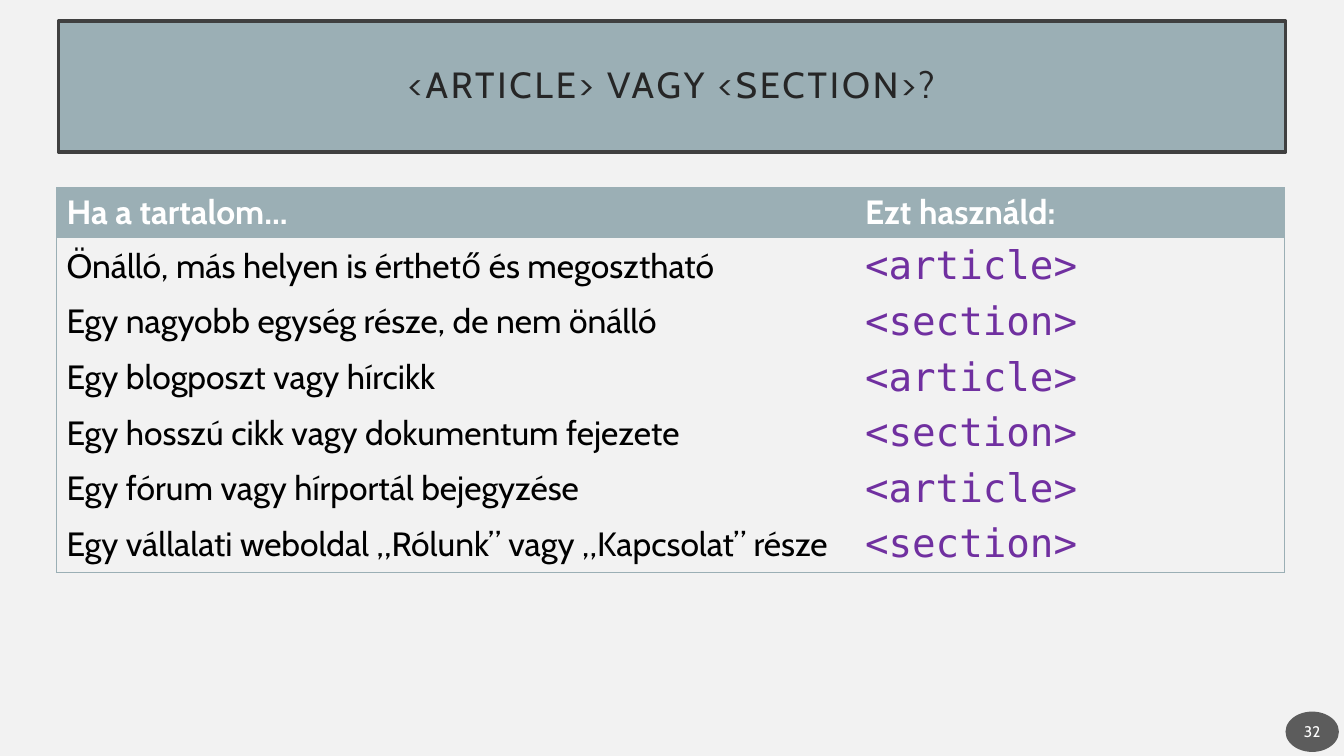
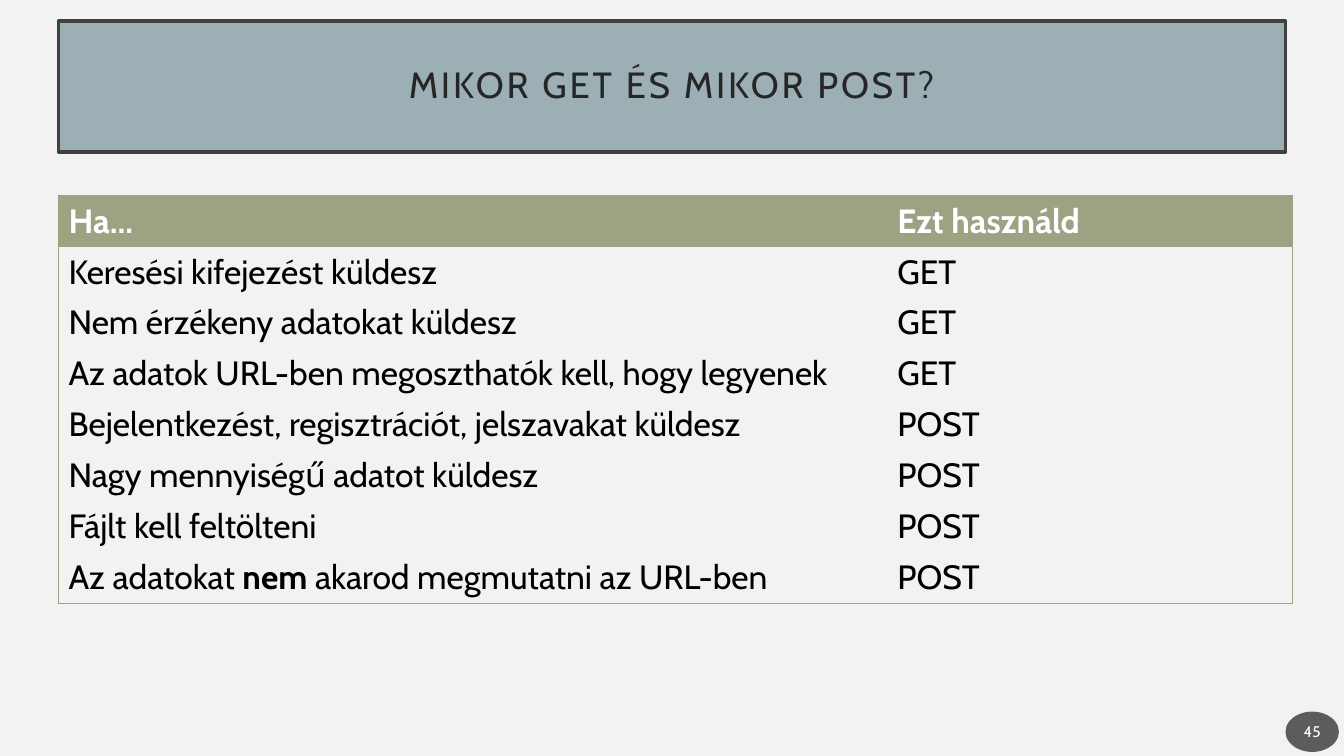
from lxml.etree import SubElement
from pptx import Presentation
from pptx.dml.color import RGBColor
from pptx.enum.shapes import MSO_SHAPE
from pptx.enum.text import MSO_ANCHOR, MSO_AUTO_SIZE, PP_ALIGN
from pptx.oxml.ns import qn
from pptx.util import Emu, Pt

SCALE = 9144  # EMU in one px, 100 px to the inch
TITLE_ONLY = 5
NO_STYLE = "{2D5ABB26-0587-4C30-8999-92F81FD0307C}"

PAPER = RGBColor(0xF2, 0xF2, 0xF2)
TEAL = RGBColor(0x9B, 0xAF, 0xB5)
OLIVE = RGBColor(0x9C, 0xA3, 0x83)
FRAME = RGBColor(0x40, 0x40, 0x40)
INK = RGBColor(0x26, 0x26, 0x26)
BADGE = RGBColor(0x1D, 0x1D, 0x1D)
PURPLE = RGBColor(0x70, 0x30, 0xA0)
BLACK = RGBColor(0, 0, 0)
WHITE = RGBColor(0xFF, 0xFF, 0xFF)

BODY_FONT = "Cabin"
CODE_FONT = "DejaVu Sans Mono"


def px(n):
    return Emu(n * SCALE)


class Deck:
    def __init__(self):
        self.prs = Presentation()
        self.prs.slide_width, self.prs.slide_height = px(1333), px(750)
        fill = self.prs.slide_master.background.fill
        fill.solid()
        fill.fore_color.rgb = PAPER

    def add_slide(self, title, number):
        layout = self.prs.slide_layouts[TITLE_ONLY]
        self.s = self.prs.slides.add_slide(layout)
        self.title(title)
        self.page_badge(number)

    def style(self, p, size, color, name=BODY_FONT, bold=False):
        p.font.size, p.font.name, p.font.bold = Pt(size), name, bold
        p.font.color.rgb = color

    def frame(self, sp, text, inset_x, inset_y):
        """Write one centred line into a shape and return its paragraph."""
        tf = sp.text_frame
        tf.word_wrap = True
        tf.auto_size = MSO_AUTO_SIZE.NONE
        tf.vertical_anchor = MSO_ANCHOR.MIDDLE
        tf.margin_left = tf.margin_right = px(inset_x)
        tf.margin_top = tf.margin_bottom = px(inset_y)
        p = tf.paragraphs[0]
        p.text = text
        p.alignment = PP_ALIGN.CENTER
        return p

    def title(self, text):
        sp = self.s.shapes.title
        sp.left, sp.top, sp.width, sp.height = map(px, (58, 21, 1217, 130))
        sp.fill.solid()
        sp.fill.fore_color.rgb = TEAL
        sp.line.color.rgb = FRAME
        sp.line.width = Pt(2.5)
        p = self.frame(sp, text, 20, 20)
        p.line_spacing = 0.9
        self.style(p, 26, INK)
        p.font._rPr.set("spc", "200")

    def page_badge(self, number):
        sp = self.s.shapes.add_shape(MSO_SHAPE.OVAL, *map(px, (1275, 706, 53, 40)))
        sp.shadow.inherit = False
        sp.line.fill.background()
        sp.fill.solid()
        sp.fill.fore_color.rgb = BADGE
        color = sp.fill._xPr.find(qn("a:solidFill"))[0]
        SubElement(color, qn("a:alpha"), val="70000")
        self.style(self.frame(sp, str(number), 2, 5), 11, WHITE)

    def borders(self, cell, sides, color):
        tcPr = cell._tc.get_or_add_tcPr()
        for side in sides:
            ln = SubElement(tcPr, qn(f"a:ln{side}"), w=str(Pt(0.5)))
            fill = SubElement(ln, qn("a:solidFill"))
            SubElement(fill, qn("a:srgbClr"), val=str(color))

    def cell_text(self, cell, text):
        """Fill a cell; parts between asterisks become bold."""
        p = cell.text_frame.paragraphs[0]
        for i, part in enumerate(text.split("*")):
            r = p.add_run()
            r.text = part
            if i % 2:
                r.font.bold = True
        return p

    def table(self, left, top, widths, row_height, color, rows, code=False):
        """Draw an outlined table; code sets the last column as source code."""
        last_row, last_col = len(rows) - 1, len(widths) - 1
        heights = [50] + [row_height] * last_row
        box = map(px, (left, top, sum(widths), sum(heights)))
        table = self.s.shapes.add_table(len(rows), len(widths), *box).table
        table.horz_banding = False
        table._tbl.tblPr.find(qn("a:tableStyleId")).text = NO_STYLE
        for column, width in zip(table.columns, widths):
            column.width = px(width)
        for i, (row, height, texts) in enumerate(zip(table.rows, heights, rows)):
            row.height = px(height)
            for j, (cell, text) in enumerate(zip(row.cells, texts)):
                edges = {"L": j == 0, "R": j == last_col,
                         "T": i == 0, "B": i == last_row}
                self.borders(cell, [k for k, on in edges.items() if on], color)
                cell.vertical_anchor = MSO_ANCHOR.MIDDLE
                p = self.cell_text(cell, text)
                if i == 0:
                    cell.fill.solid()
                    cell.fill.fore_color.rgb = color
                    self.style(p, 24, WHITE, bold=True)
                    continue
                cell.fill.background()
                if code and j == last_col:
                    self.style(p, 28, PURPLE, CODE_FONT)
                else:
                    self.style(p, 24, BLACK)


def main():
    deck = Deck()

    deck.add_slide("<ARTICLE> VAGY <SECTION>?", 32)
    deck.table(56, 186, (792, 426), 55, TEAL, [
        ("Ha a tartalom...", "Ezt használd:"),
        ("Önálló, más helyen is érthető és megosztható", "<article>"),
        ("Egy nagyobb egység része, de nem önálló", "<section>"),
        ("Egy blogposzt vagy hírcikk", "<article>"),
        ("Egy hosszú cikk vagy dokumentum fejezete", "<section>"),
        ("Egy fórum vagy hírportál bejegyzése", "<article>"),
        ("Egy vállalati weboldal „Rólunk” vagy „Kapcsolat” része", "<section>"),
    ], code=True)

    deck.add_slide("MIKOR GET ÉS MIKOR POST?", 45)
    deck.table(58, 194, (822, 402), 50, OLIVE, [
        ("Ha...", "Ezt használd"),
        ("Keresési kifejezést küldesz", "GET"),
        ("Nem érzékeny adatokat küldesz", "GET"),
        ("Az adatok URL-ben megoszthatók kell, hogy legyenek", "GET"),
        ("Bejelentkezést, regisztrációt, jelszavakat küldesz", "POST"),
        ("Nagy mennyiségű adatot küldesz", "POST"),
        ("Fájlt kell feltölteni", "POST"),
        ("Az adatokat *nem* akarod megmutatni az URL-ben", "POST"),
    ])

    deck.prs.save("out.pptx")


if __name__ == "__main__":
    main()
